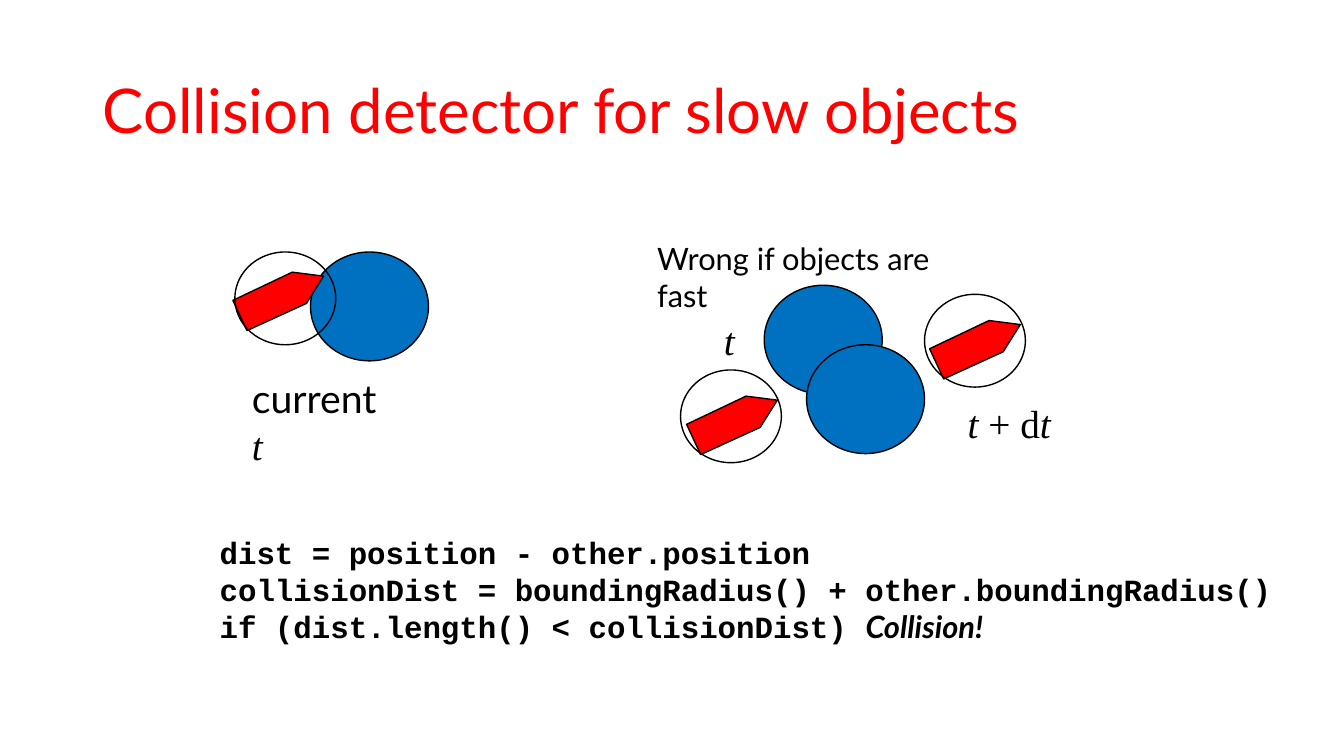
from pptx import Presentation
from pptx.dml.color import RGBColor
from pptx.enum.shapes import MSO_SHAPE
from pptx.enum.text import MSO_ANCHOR, PP_ALIGN
from pptx.util import Inches, Pt

OVAL = MSO_SHAPE.OVAL
MIDDLE = MSO_ANCHOR.MIDDLE
LEFT = PP_ALIGN.LEFT
COLORS = {"title": "FF0000", "ship": "FF0000", "obstacle": "0070C0", "ink": "000000"}
SANS, SERIF, MONO = "Lato", "Times New Roman", "Courier New"
SHIP_OUTLINE = [(0, 0), (-0.14, -0.3), (0.45, -0.58), (0.76, -0.54), (0.59, -0.27)]


def color(name):
    """Return the named colour."""
    return RGBColor.from_string(COLORS[name])


def set_font(font, name, size, shade="ink", bold=False, italic=False):
    """Format a paragraph or run font."""
    font.name = name
    font.size = Pt(size)
    font.bold = bold
    font.italic = italic
    font.color.rgb = color(shade)


def style_shape(shape, fill=None):
    """Give a shape a thin black line and an optional fill."""
    shape.shadow.inherit = False
    if fill:
        shape.fill.solid()
        shape.fill.fore_color.rgb = color(fill)
    else:
        shape.fill.background()
    shape.line.color.rgb = color("ink")
    shape.line.width = Pt(1)


def add_obstacle(page, left, top):
    """Draw a blue obstacle disc."""
    disc = page.shapes.add_shape(OVAL, Inches(left), Inches(top), Inches(1.17), Inches(1.08))
    style_shape(disc, "obstacle")


def add_ship(page, tail, bounds):
    """Draw a ship from its tail corner, inside its bounding circle."""
    points = [(Inches(tail[0] + x), Inches(tail[1] + y)) for x, y in SHIP_OUTLINE]
    builder = page.shapes.build_freeform(*points[0])
    builder.add_line_segments(points[1:], close=True)
    style_shape(builder.convert_to_shape(), "ship")
    circle = page.shapes.add_shape(OVAL, Inches(bounds[0]), Inches(bounds[1]), Inches(1), Inches(0.92))
    style_shape(circle)


def add_text(page, left, top, width, height, size, lines, wrap=False, bold=False):
    """Add a text box whose lines are lists of (text, font name, italic)."""
    box = page.shapes.add_textbox(Inches(left), Inches(top), Inches(width), Inches(height))
    frame = box.text_frame
    frame.word_wrap = wrap
    for index, pieces in enumerate(lines):
        para = frame.add_paragraph() if index else frame.paragraphs[0]
        for text, name, italic in pieces:
            span = para.add_run()
            span.text = text
            if len(pieces) > 1:
                set_font(span.font, name, size, bold=bold, italic=italic)
        if len(pieces) == 1:
            set_font(para.font, name, size, bold=bold, italic=italic)


def add_title(page, text):
    """Fill and format the title placeholder."""
    title = page.shapes.title
    title.left, title.top = Inches(0.92), Inches(0.4)
    title.width, title.height = Inches(11.5), Inches(1.45)
    title.text_frame.text = text
    title.text_frame.word_wrap = True
    title.text_frame.vertical_anchor = MIDDLE
    para = title.text_frame.paragraphs[0]
    para.alignment = LEFT
    para.line_spacing = 0.9
    set_font(para.font, SANS, 44, "title")


def main():
    """Build the collision detection slide."""
    deck = Presentation()
    deck.slide_width, deck.slide_height = Inches(13.33), Inches(7.5)
    page = deck.slides.add_slide(deck.slide_layouts[5])
    add_title(page, "Collision detector for slow objects")

    add_obstacle(page, 3.08, 2.5)
    add_ship(page, (2.45, 3.28), (2.33, 2.5))
    add_text(page, 2.08, 5.25, 10.79, 1.21, 22, [
        [("dist = position - other.position", MONO, False)],
        [("collisionDist = boundingRadius() + other.boundingRadius()", MONO, False)],
        [("if (dist.length() < collisionDist) ", MONO, False), ("Collision!", SANS, True)],
    ], bold=True)
    add_text(page, 2.4, 3.66, 1.52, 0.57, 28,
             [[("current ", SANS, False), ("t", SERIF, True)]], wrap=True)

    add_text(page, 6.42, 2.33, 3.13, 0.47, 22,
             [[("Wrong if objects are fast", SANS, False)]], wrap=True)
    add_obstacle(page, 7.58, 2.83)
    add_ship(page, (6.95, 4.51), (6.75, 3.67))
    add_text(page, 7.08, 3.09, 0.31, 0.57, 28, [[("t", SERIF, True)]])
    add_ship(page, (9.36, 3.76), (9.17, 2.92))
    add_text(page, 9.5, 3.91, 1.03, 0.57, 28,
             [[("t", SERIF, True), (" + d", SERIF, False), ("t", SERIF, True)]])
    add_obstacle(page, 8, 3.42)
    deck.save("out.pptx")


if __name__ == "__main__":
    main()
